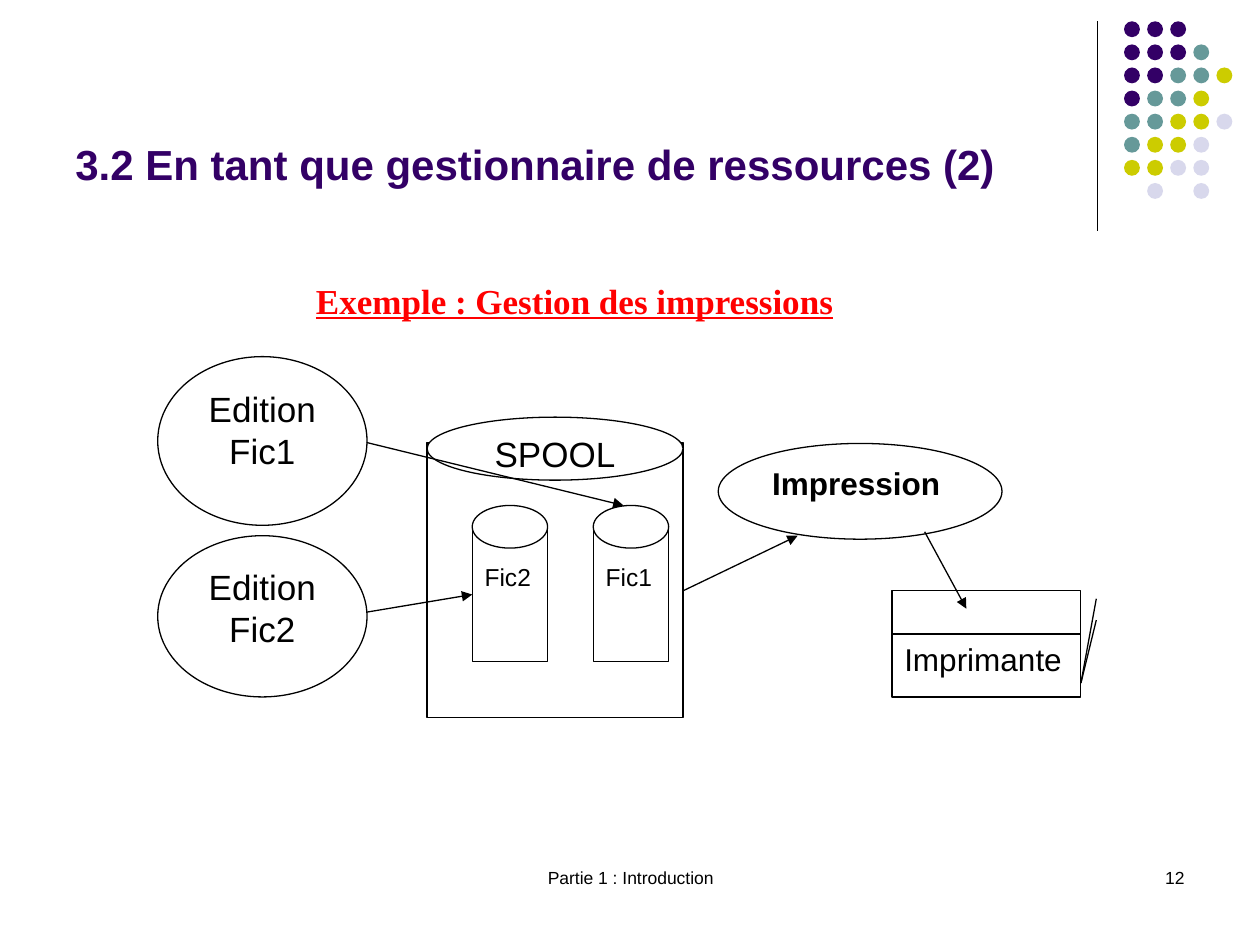
from pptx import Presentation
from pptx.dml.color import RGBColor
from pptx.enum.shapes import MSO_CONNECTOR as Connector, MSO_SHAPE as Shape
from pptx.enum.text import MSO_ANCHOR as Anchor, PP_ALIGN as Align
from pptx.oxml.ns import qn
from pptx.util import Cm, Pt
from lxml.etree import SubElement

COLORS = {
    "black": "000000", "white": "FFFFFF", "red": "FF0000",
    "purple": "330066", "teal": "669999", "olive": "CCCC00", "lavender": "D8D8EC",
}


class SlideBuilder:
    """Holds the drawing style and the current slide."""

    font = "Arial"
    line_width = Pt(0.75)

    def __init__(self, slide):
        self.slide = slide

    def color(self, name):
        return RGBColor.from_string(COLORS[name])

    def fill_frame(self, frame, text, size, color="black", align=Align.LEFT,
                   anchor=Anchor.TOP, bold=False, underline=False, font=None,
                   wrap=True):
        frame.word_wrap = wrap
        frame.vertical_anchor = anchor
        paragraph = frame.paragraphs[0]
        paragraph.alignment = align
        run = paragraph.add_run()
        run.text = text
        run.font.name = font or self.font
        run.font.size = Pt(size)
        run.font.bold = bold
        run.font.underline = underline
        run.font.color.rgb = self.color(color)

    def text(self, box, text, size, **style):
        shape = self.slide.shapes.add_textbox(*map(Cm, box))
        self.fill_frame(shape.text_frame, text, size, **style)

    def shape(self, kind, box, text=None, size=20, fill="white", outlined=True,
              top_inset=0.13, **style):
        shape = self.slide.shapes.add_shape(kind, *map(Cm, box))
        shape.shadow.inherit = False
        shape.fill.solid()
        shape.fill.fore_color.rgb = self.color(fill)
        if outlined:
            shape.line.color.rgb = self.color("black")
            shape.line.width = self.line_width
        else:
            shape.line.fill.background()
        if text:
            shape.text_frame.margin_top = Cm(top_inset)
            self.fill_frame(shape.text_frame, text, size, **style)
        return shape

    def line(self, start, end, arrow=False):
        connector = self.slide.shapes.add_connector(
            Connector.STRAIGHT, *map(Cm, start + end))
        connector.line.color.rgb = self.color("black")
        connector.line.width = self.line_width
        properties = connector._element.spPr
        if arrow:
            SubElement(properties.find(qn("a:ln")), qn("a:tailEnd"), type="triangle")
        SubElement(properties, qn("a:effectLst"))
        return connector

    def file_cylinder(self, left, text):
        body = self.shape(Shape.RECTANGLE, (left, 10.64, 1.52, 2.69), text, 14,
                          top_inset=0.7)
        self.shape(Shape.OVAL, (left, 10.19, 1.52, 0.86))
        return body

    def dot_grid(self, left, top, pitch, diameter, rows):
        names = {"P": "purple", "T": "teal", "O": "olive", "L": "lavender"}
        for row, codes in enumerate(rows):
            for column, code in enumerate(codes):
                if code in names:
                    box = (left + column * pitch, top + row * pitch, diameter, diameter)
                    self.shape(Shape.OVAL, box, fill=names[code], outlined=False)


def main():
    presentation = Presentation()
    presentation.slide_width, presentation.slide_height = Cm(25.4), Cm(19.05)
    builder = SlideBuilder(presentation.slides.add_slide(presentation.slide_layouts[6]))

    # Corner decoration
    builder.line((22.12, 0.43), (22.12, 4.65))
    builder.dot_grid(22.66, 0.43, 3.26 / 7, 0.32, [
        "PPP", "PPPT", "PPTTO", "PTTO", "TTOOL", "TOOL", "OOLL", ".L.L"])

    # Footer, title and heading
    builder.text((8.69, 17.35, 8.05, 1.27), "Partie 1 : Introduction", 10,
                 align=Align.CENTER)
    builder.text((18.21, 17.35, 5.92, 1.27), "12", 10, align=Align.RIGHT)
    builder.text((1.27, 0.33, 20.96, 3.61),
                 "3.2 En tant que gestionnaire de ressources (2)", 24,
                 color="purple", bold=True, anchor=Anchor.BOTTOM)
    builder.text((6.12, 5.51, 10.95, 1.12), "Exemple : Gestion des impressions", 20,
                 color="red", bold=True, underline=True, font="Times New Roman",
                 wrap=False)

    # Editing processes
    builder.shape(Shape.OVAL, (3.18, 7.19, 4.22, 3.4), "Edition Fic1",
                  align=Align.CENTER)
    builder.shape(Shape.OVAL, (3.18, 10.8, 4.22, 3.25), "Edition Fic2",
                  align=Align.CENTER)

    # Spool holding the two files
    builder.shape(Shape.RECTANGLE, (8.61, 8.92, 5.16, 5.54))
    builder.shape(Shape.OVAL, (8.61, 8.41, 5.16, 1.27), "SPOOL", align=Align.CENTER)
    builder.file_cylinder(11.96, "Fic1")
    second_file = builder.file_cylinder(9.52, "Fic2")

    # Printing process and printer with its paper
    builder.shape(Shape.OVAL, (14.48, 8.94, 5.72, 1.93), "Impression", 18, bold=True)
    builder.shape(Shape.RECTANGLE, (17.98, 11.91, 3.81, 2.13))
    builder.shape(Shape.RECTANGLE, (17.98, 12.78, 3.81, 1.27), "Imprimante", 18)
    for paper_top in (12.07, 12.5):
        builder.line((21.79, 13.77), (22.1, paper_top))

    # Flow from editing to printer
    builder.line((7.39, 8.92), (12.57, 10.19), arrow=True)
    to_second_file = builder.line((7.39, 12.34), (9.52, 11.99), arrow=True)
    to_second_file.end_connect(second_file, 1)
    builder.line((13.77, 11.91), (16.08, 10.8), arrow=True)
    builder.line((18.64, 10.72), (19.48, 12.27), arrow=True)

    presentation.save("out.pptx")


if __name__ == "__main__":
    main()
